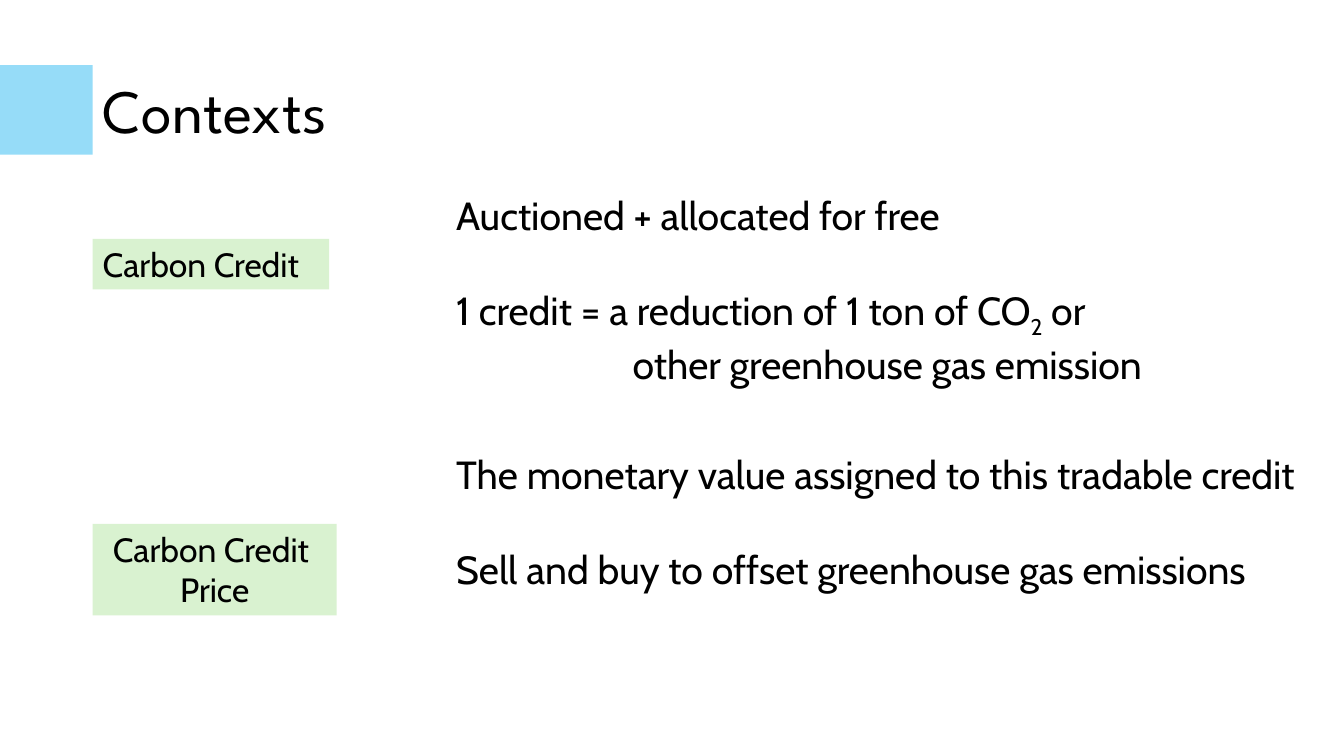
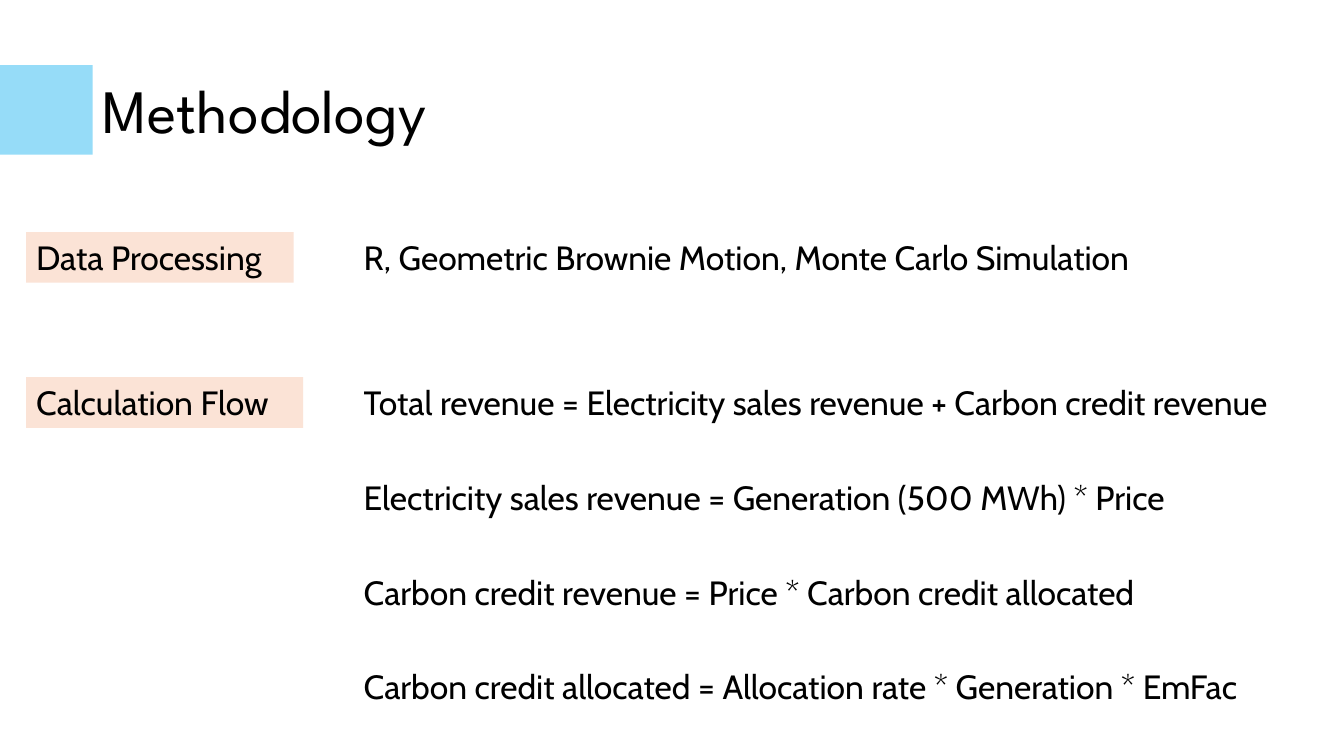
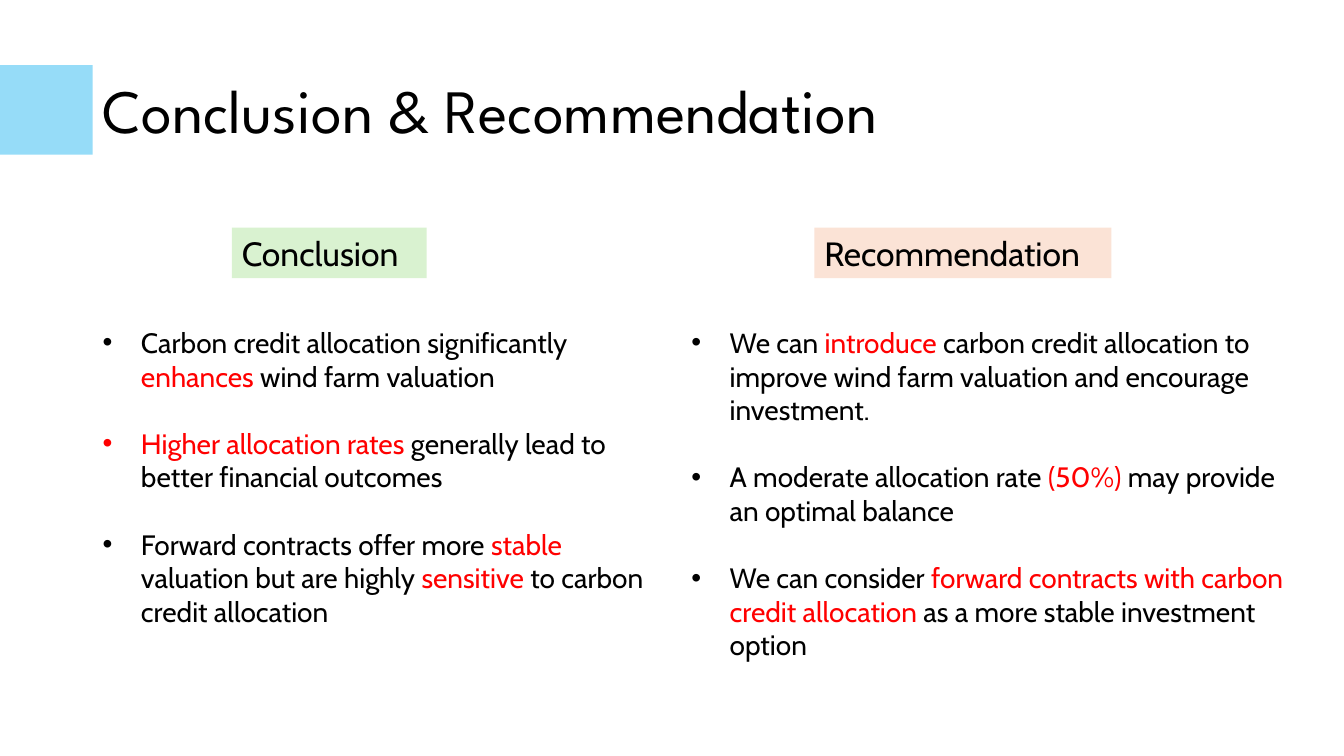
from lxml import etree
from pptx import Presentation
from pptx import util as u
from pptx.dml.color import RGBColor
from pptx.enum import shapes, text
from pptx.oxml.ns import qn

WIDE, HIGH = u.Inches(13.33), u.Inches(7.5)
HUES = {"ink": "000000", "red": "FF0000", "sky": "96DCF8",
        "green": "D9F2D0", "peach": "FBE3D6"}
HEAD, BODY = "League Spartan", "Cabin"
EDGE = 6.9  # left margin, percent of the slide's width
ROW = 6.7   # height of a one-line box, percent of the slide's height


def hue(name):
    return RGBColor.from_string(HUES[name])


def area(x, y, w, h):
    """Turn percentages of the slide's size into lengths."""
    return [u.Emu(int(side * part / 100))
            for side, part in zip((WIDE, HIGH, WIDE, HIGH), (x, y, w, h))]


def add_run(par, words, size, font=BODY, tint="ink", base=0):
    run = par.add_run()
    run.text = words
    run.font.size = u.Pt(size)
    run.font.name = font
    run.font.color.rgb = hue(tint)
    if base:
        run._r.get_or_add_rPr().set("baseline", str(base * 1000))


def indent(par, left, first=0):
    props = par._p.get_or_add_pPr()
    props.set("marL", str(u.Inches(left)))
    props.set("indent", str(u.Inches(first)))


def bullet(par):
    indent(par, 0.38, -0.38)
    props = par._p.get_or_add_pPr()
    etree.SubElement(props, qn("a:buFont")).set("typeface", "Arial")
    etree.SubElement(props, qn("a:buChar")).set("char", "•")


def write(frame, lines, size, gap=0, font=BODY):
    """Fill a frame; a line is a string or a list of strings and (words, style)."""
    frame.word_wrap = True
    pars = []
    for n, line in enumerate(lines):
        par = frame.add_paragraph() if n else frame.paragraphs[0]
        par.alignment = text.PP_ALIGN.LEFT
        par.space_before = u.Pt(gap if n else 0)
        for bit in [line] if isinstance(line, str) else line:
            words, style = (bit, {}) if isinstance(bit, str) else bit
            add_run(par, words, size, font, **style)
        pars.append(par)
    return pars


def note(slide, box, lines, size, gap=0, font=BODY):
    frame = slide.shapes.add_textbox(*area(*box)).text_frame
    return write(frame, lines, size, gap, font)


def block(slide, box, tint):
    shape = slide.shapes.add_shape(shapes.MSO_SHAPE.RECTANGLE, *area(*box))
    shape.shadow.inherit = False
    shape.fill.solid()
    shape.fill.fore_color.rgb = hue(tint)
    shape.line.fill.background()
    return shape


def label(slide, box, lines, tint):
    frame = block(slide, box, tint).text_frame
    frame.vertical_anchor = text.MSO_ANCHOR.TOP
    return write(frame, lines, 24)


def points(slide, box, lines):
    for par in note(slide, box, lines, 20, gap=24):
        bullet(par)


def start(deck, title):
    """Add a slide with the shared title and side band."""
    slide = deck.slides.add_slide(deck.slide_layouts[6])
    par, = note(slide, (EDGE, 5.33, 86.3, 19.33), [title], 44, font=HEAD)
    par.line_spacing = 0.9
    slide.shapes[0].text_frame.vertical_anchor = text.MSO_ANCHOR.MIDDLE
    block(slide, (0, 8.6, EDGE, 11.85), "sky")
    return slide


def contexts(deck):
    slide = start(deck, "Contexts")
    left = 33.2
    label(slide, (EDGE, 31.6, 17.6, ROW), ["Carbon Credit"], "green")
    price = label(slide, (EDGE, 69.3, 18.15, 12.1),
                  ["Carbon Credit ", "Price"], "green")
    for par in price:
        par.alignment = text.PP_ALIGN.CENTER
    facts = note(slide, (left, 24.7, 56, 26.5), [
        "Auctioned + allocated for free",
        ["1 credit = a reduction of 1 ton of CO", ("2", {"base": -25}), " or"],
        "other greenhouse gas emission"], 28, gap=34)
    facts[-1].space_before = u.Pt(0)
    indent(facts[-1], 1.75)
    note(slide, (left, 58.9, 65, 32.8), [
        "The monetary value assigned to this tradable credit",
        "Sell and buy to offset greenhouse gas emissions"], 28, gap=34)


def method(deck):
    slide = start(deck, "Methodology")
    left, top, flow, step = 1.95, 30.7, 49.9, 12.53
    label(slide, (left, top, 19.9, ROW), ["Data Processing"], "peach")
    label(slide, (left, flow, 20.6, ROW), ["Calculation Flow"], "peach")
    rows = [(top, "R, Geometric Brownie Motion, Monte Carlo Simulation")]
    sums = ["Total revenue = Electricity sales revenue + Carbon credit revenue",
            "Electricity sales revenue = Generation (500 MWh) * Price",
            "Carbon credit revenue = Price * Carbon credit allocated",
            "Carbon credit allocated = Allocation rate * Generation * EmFac"]
    rows += [(flow + n * step, line) for n, line in enumerate(sums)]
    for y, line in rows:
        note(slide, (26.32, y, 73, ROW), [line], 24)


def closing(deck):
    slide = start(deck, "Conclusion & Recommendation")
    red = {"tint": "red"}
    top, list_top = 30.1, 42.4
    label(slide, (17.25, top, 14.5, ROW), ["Conclusion"], "green")
    label(slide, (60.6, top, 22.1, ROW), ["Recommendation"], "peach")
    points(slide, (EDGE, list_top, 42.45, 41.7), [
        ["Carbon credit allocation significantly ", ("enhances", red),
         " wind farm valuation"],
        [("Higher allocation rates ", red),
         "generally lead to better financial outcomes"],
        ["Forward contracts offer more ", ("stable", red),
         " valuation but are highly ", ("sensitive", red),
         " to carbon credit allocation"]])
    points(slide, (50.7, list_top, 47.4, 46.3), [
        ["We can ", ("introduce", red),
         " carbon credit allocation to improve wind farm valuation"
         " and encourage investment."],
        ["A moderate allocation rate ", ("(50%) ", red),
         "may provide an optimal balance"],
        ["We can consider ",
         ("forward contracts with carbon credit allocation", red),
         " as a more stable investment option"]])


def main():
    deck = Presentation()
    deck.slide_width, deck.slide_height = WIDE, HIGH
    for build in (contexts, method, closing):
        build(deck)
    deck.save("out.pptx")


if __name__ == "__main__":
    main()
